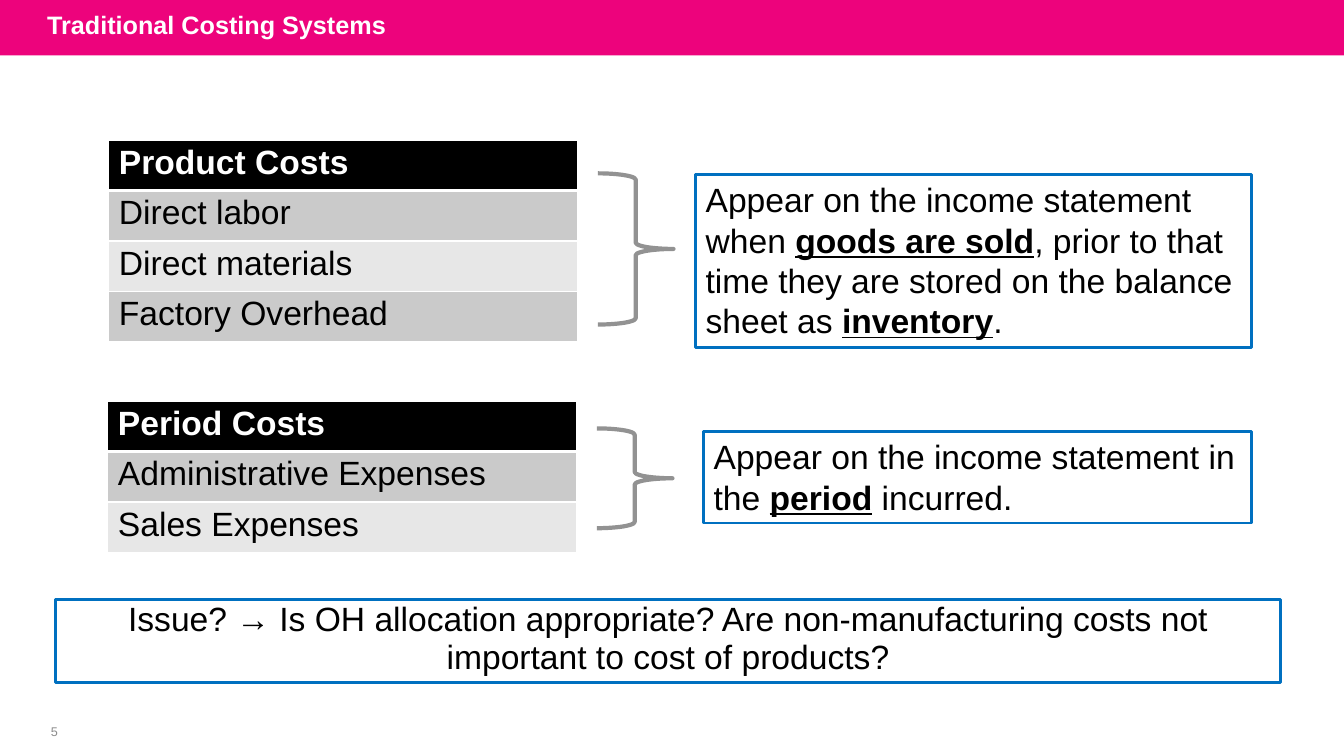
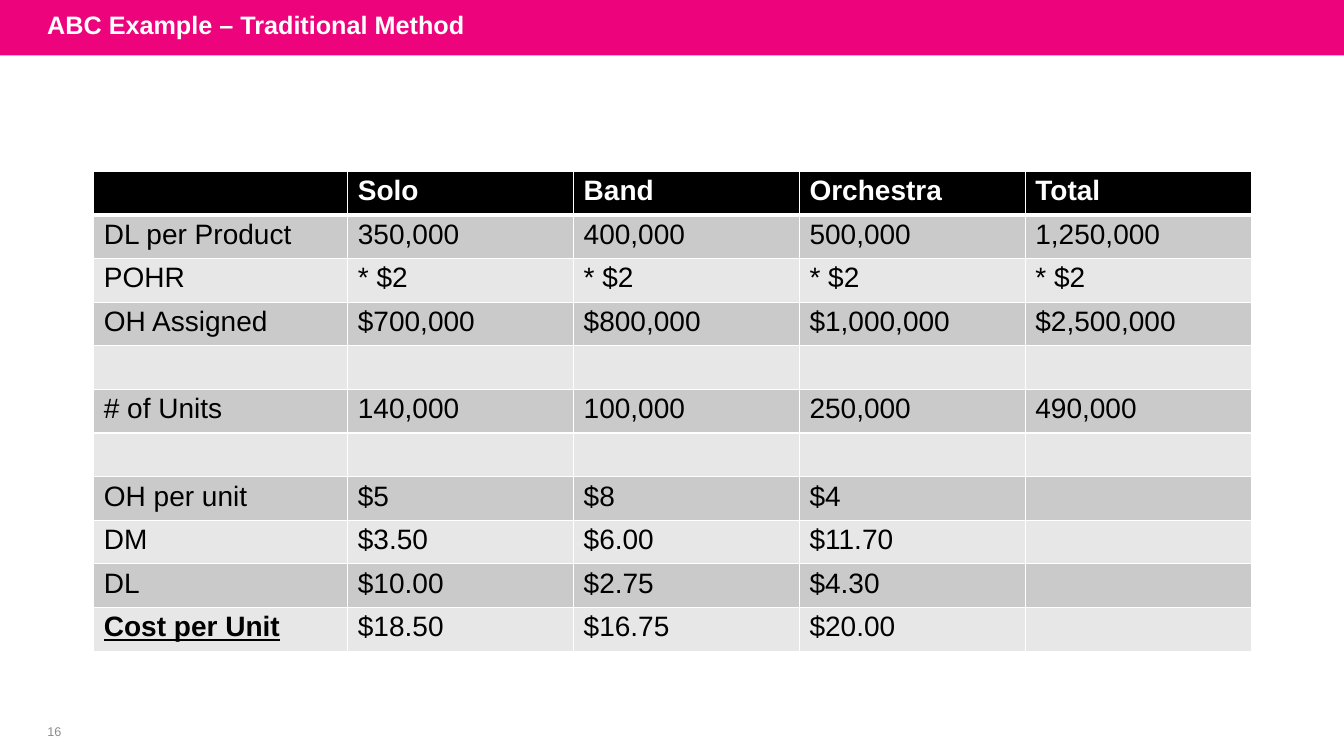
from lxml import etree
from pptx import Presentation, util as u
from pptx.dml.color import RGBColor
from pptx.enum import shapes, text
from pptx.oxml.ns import qn

FONT = "Arial"
PINK, BLUE, GRAY, PALE_GRAY = "ED037C", "0070C0", "929292", "8C8C8C"
BLACK, WHITE, BAND_DARK, BAND_LIGHT = "000000", "FFFFFF", "CACACA", "E7E7E7"


def rgb(value):
    return RGBColor.from_string(value)


class Deck:
    def __init__(self, width, height):
        self.prs = Presentation()
        self.prs.slide_width, self.prs.slide_height = u.Inches(width), u.Inches(height)
        self.width = width
        self.s = None

    def new_slide(self, title, number):
        """Add a slide with its title band and page number."""
        self.s = self.prs.slides.add_slide(self.prs.slide_layouts[6])
        self.shape(shapes.MSO_SHAPE.RECTANGLE, 0, 0, self.width, 0.55, fill=PINK)
        self.label(0.37, -0.03, 10.5, 0.55, title, 18, WHITE, bold=True)
        self.label(0.28, 7.14, 0.52, 0.24, str(number), 9, PALE_GRAY,
                   align=text.PP_ALIGN.CENTER, margin=0)

    def set_text(self, tf, content, size, color=BLACK, bold=False,
                 align=text.PP_ALIGN.LEFT, line=None):
        """Set one paragraph; parts between underscores are bold and underlined."""
        p = tf.paragraphs[0]
        p.alignment = align
        if line:
            p.line_spacing = u.Pt(line)
        for i, part in enumerate(content.split("_")):
            if not part:
                continue
            r = p.add_run()
            r.text = part
            r.font.name, r.font.size = FONT, u.Pt(size)
            r.font.color.rgb = rgb(color)
            r.font.bold = bold or i % 2 == 1
            r.font.underline = i % 2 == 1

    def label(self, x, y, w, h, content, size, color, bold=False,
              align=text.PP_ALIGN.LEFT, margin=0.1):
        tf = self.s.shapes.add_textbox(*map(u.Inches, (x, y, w, h))).text_frame
        tf.word_wrap = True
        tf.vertical_anchor = text.MSO_ANCHOR.MIDDLE
        tf.margin_left = tf.margin_right = u.Inches(margin)
        tf.margin_top = tf.margin_bottom = 0
        self.set_text(tf, content, size, color, bold, align)

    def shape(self, kind, x, y, w, h, fill=None, line=None, weight=1):
        sp = self.s.shapes.add_shape(kind, *map(u.Inches, (x, y, w, h)))
        sp.shadow.inherit = False
        if fill:
            sp.fill.solid()
            sp.fill.fore_color.rgb = rgb(fill)
        else:
            sp.fill.background()
        if line:
            sp.line.color.rgb = rgb(line)
            sp.line.width = u.Pt(weight)
        else:
            sp.line.fill.background()
        return sp

    def brace(self, x, y, w, h):
        self.shape(shapes.MSO_SHAPE.RIGHT_BRACE, x, y, w, h, line=GRAY, weight=3)

    def note(self, x, y, w, h, content, align=text.PP_ALIGN.LEFT, line=28.8, top=0.05):
        """Outlined box with wrapped text."""
        sp = self.shape(shapes.MSO_SHAPE.RECTANGLE, x, y, w, h, line=BLUE, weight=2)
        tf = sp.text_frame
        tf.word_wrap = True
        tf.vertical_anchor = text.MSO_ANCHOR.TOP
        tf.margin_left = u.Inches(0.1)
        tf.margin_right = u.Inches(0.1 if align == text.PP_ALIGN.CENTER else 0)
        tf.margin_top, tf.margin_bottom = u.Inches(top), 0
        self.set_text(tf, content, 24, align=align, line=line)

    def border(self, cell, side, weight):
        ln = etree.SubElement(cell._tc.get_or_add_tcPr(), qn("a:" + side), w=str(u.Pt(weight)))
        fill = etree.SubElement(ln, qn("a:solidFill"))
        etree.SubElement(fill, qn("a:srgbClr"), val=WHITE)

    def table(self, x, y, widths, row_height, rows, size):
        """Banded table with a black header row and white rules."""
        frame = self.s.shapes.add_table(len(rows), len(widths), u.Inches(x), u.Inches(y),
                                        u.Inches(sum(widths)), u.Inches(row_height * len(rows)))
        tbl = frame.table
        tbl.horz_banding = False
        for column, width in zip(tbl.columns, widths):
            column.width = u.Inches(width)
        for i, row in enumerate(rows):
            header = i == 0
            for j, content in enumerate(row):
                cell = tbl.cell(i, j)
                for side in ("lnL", "lnR", "lnT", "lnB"):
                    thick = (i, side) in ((0, "lnB"), (1, "lnT"))
                    self.border(cell, side, 3 if thick else 1)
                cell.fill.solid()
                cell.fill.fore_color.rgb = rgb(
                    BLACK if header else BAND_DARK if i % 2 else BAND_LIGHT)
                cell.margin_left, cell.margin_top = u.Inches(0.1), u.Inches(0.04)
                cell.margin_right = cell.margin_bottom = 0
                self.set_text(cell.text_frame, content, size, WHITE if header else BLACK, header)


def costing_systems(deck):
    deck.new_slide("Traditional Costing Systems", 5)

    # Cost categories
    product = ["Product Costs", "Direct labor", "Direct materials", "Factory Overhead"]
    period = ["Period Costs", "Administrative Expenses", "Sales Expenses"]
    for x, y, names in ((1.08, 1.39, product), (1.07, 3.98, period)):
        deck.table(x, y, [4.65], 0.5, [[name] for name in names], 24)

    # Braces and explanations
    deck.brace(5.93, 1.72, 0.75, 1.5)
    deck.brace(5.92, 4.25, 0.75, 0.99)
    deck.note(6.9, 1.73, 5.51, 1.72,
              "Appear on the income statement when _goods are sold_, prior to that "
              "time they are stored on the balance sheet as _inventory_.")
    deck.note(6.98, 4.28, 5.43, 0.91,
              "Appear on the income statement in the _period_ incurred.")

    # Question
    deck.note(0.55, 5.95, 12.15, 0.82,
              "Issue? → Is OH allocation appropriate? Are non-manufacturing costs not "
              "important to cost of products?",
              align=text.PP_ALIGN.CENTER, line=27.4, top=0)


def traditional_method(deck):
    deck.new_slide("ABC Example – Traditional Method", 16)

    # Cost per unit by product
    blank = [""] * 5
    rows = [
        ["", "Solo", "Band", "Orchestra", "Total"],
        ["DL per Product", "350,000", "400,000", "500,000", "1,250,000"],
        ["POHR"] + ["* $2"] * 4,
        ["OH Assigned", "$700,000", "$800,000", "$1,000,000", "$2,500,000"],
        blank,
        ["# of Units", "140,000", "100,000", "250,000", "490,000"],
        blank,
        ["OH per unit", "$5", "$8", "$4", ""],
        ["DM", "$3.50", "$6.00", "$11.70", ""],
        ["DL", "$10.00", "$2.75", "$4.30", ""],
        ["_Cost per Unit_", "$18.50", "$16.75", "$20.00", ""],
    ]
    deck.table(0.93, 1.7, [2.52] + [2.24] * 4, 4.76 / len(rows), rows, 20)


def main():
    deck = Deck(13.33, 7.5)
    costing_systems(deck)
    traditional_method(deck)
    deck.prs.save("out.pptx")


if __name__ == "__main__":
    main()
